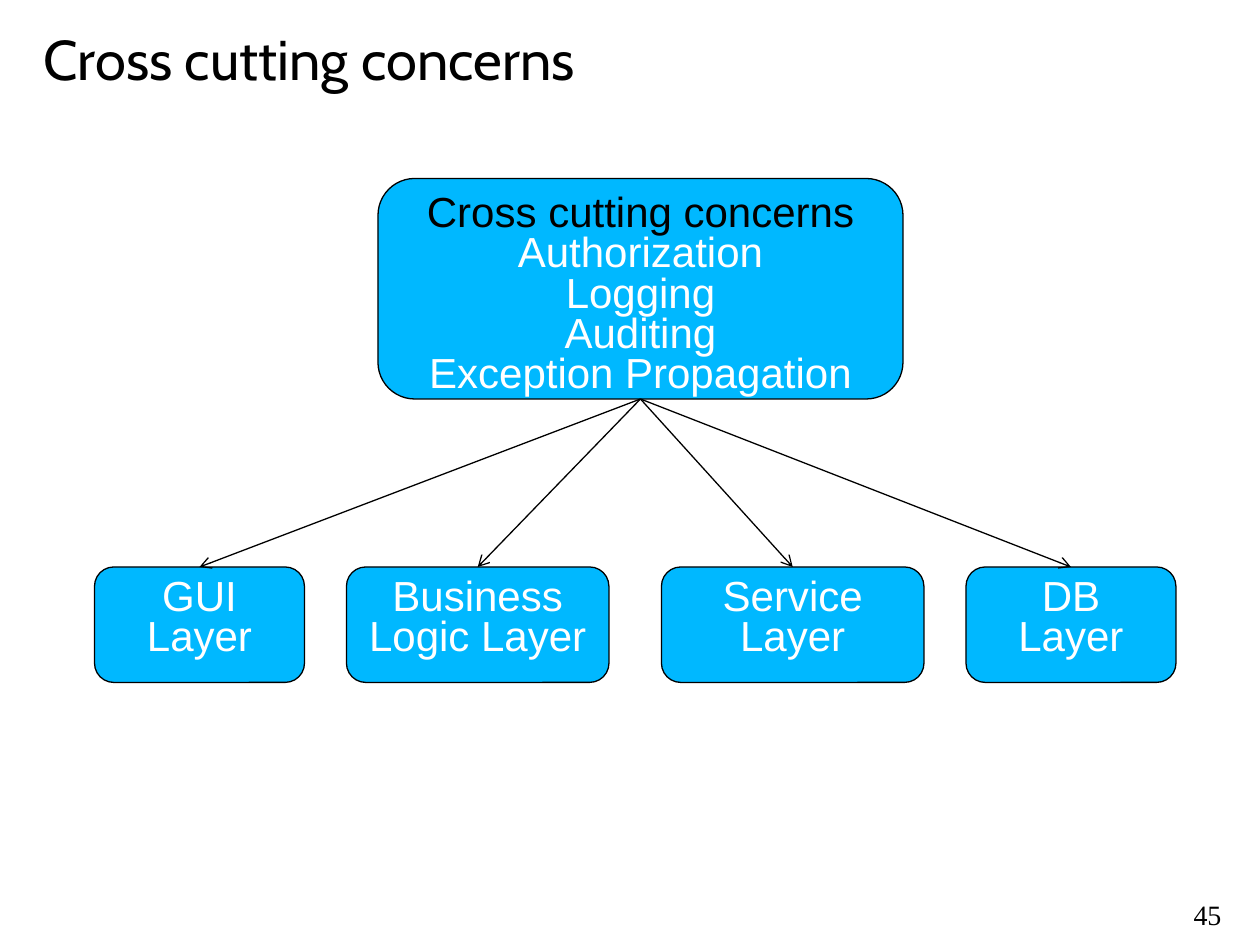
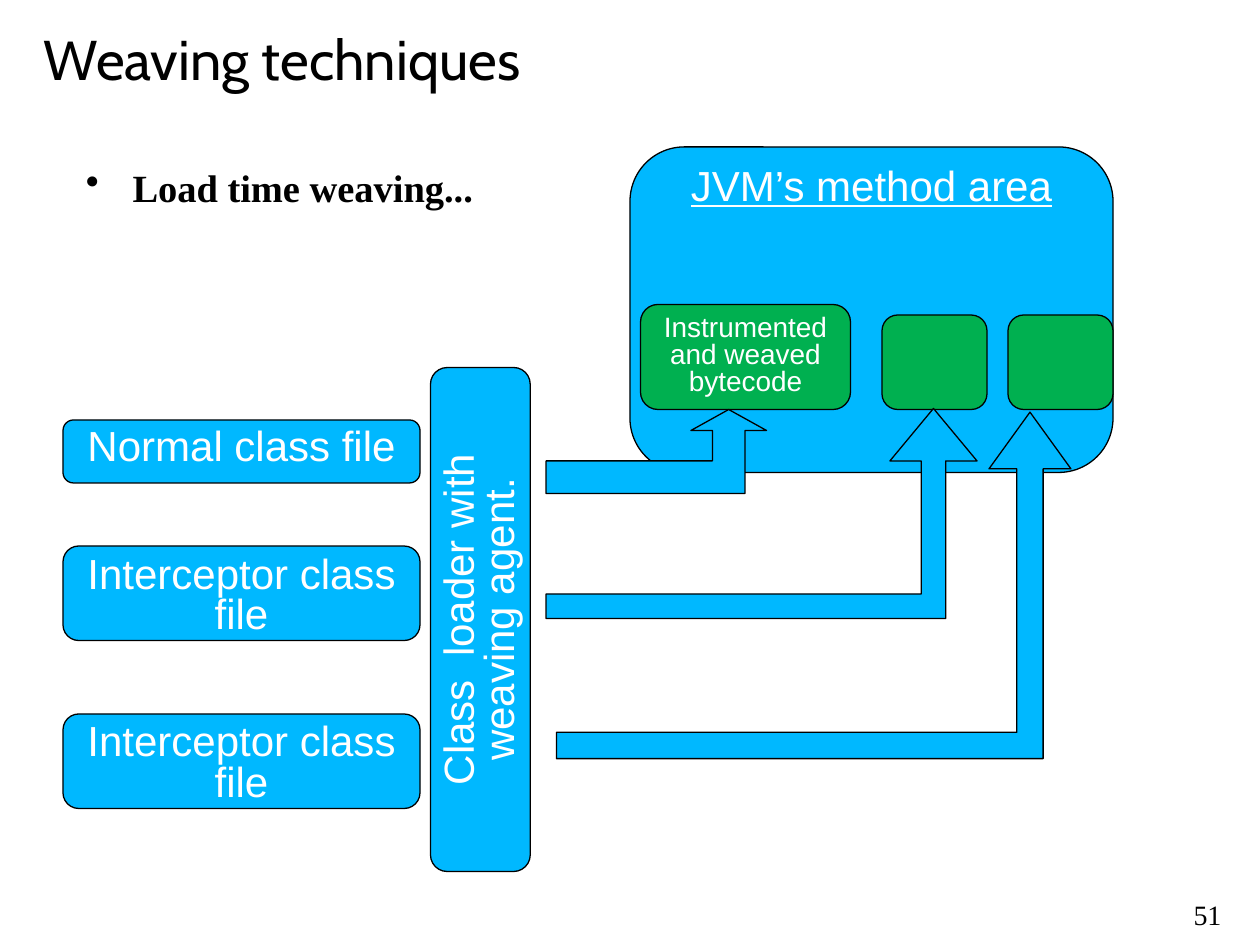
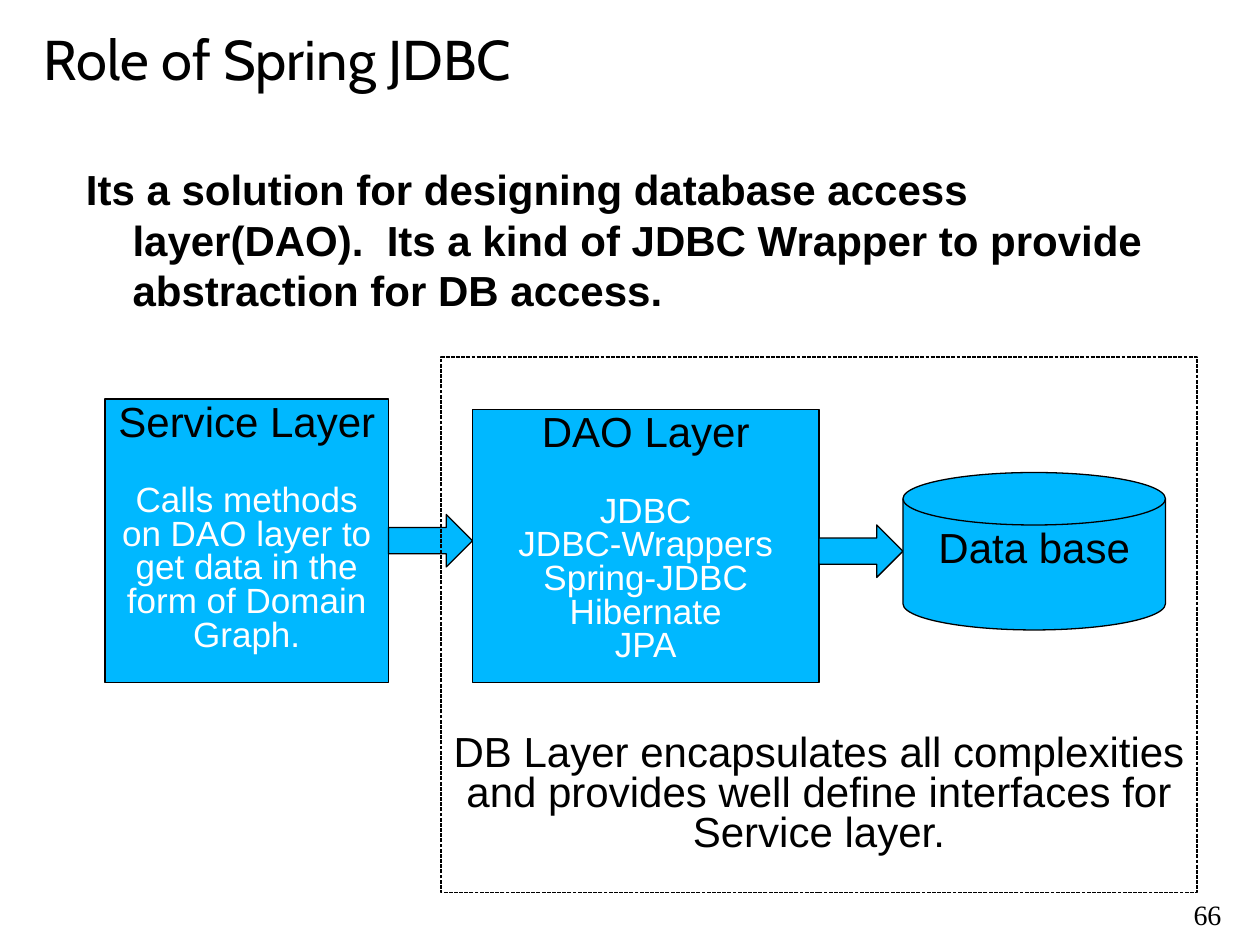
import pptx
import pptx.dml.color
import pptx.enum.dml
import pptx.enum.shapes
import pptx.enum.text
import pptx.oxml.ns
import pptx.util

CELL = pptx.util.Inches(1) // 12
COLS, ROWS = 120, 90
BLUE, GREEN, BLACK, WHITE = "00B8FF", "00B050", "000000", "FFFFFF"
SANS, SERIF, TITLE_FONT = "Arial", "Times New Roman", "Cabin"
SHAPE = pptx.enum.shapes.MSO_SHAPE
CENTER = pptx.enum.text.PP_ALIGN.CENTER


def cells(*values):
    """Turn grid cells into EMU lengths."""
    return [round(v * CELL) for v in values]


def rgb(code):
    """Return the colour for a hex string."""
    return pptx.dml.color.RGBColor.from_string(code)


def sub(parent, tag, **attrs):
    """Append a drawing element to a parent element."""
    child = parent.makeelement(pptx.oxml.ns.qn(tag), attrs)
    parent.append(child)
    return child


def write(tf, text, size=24, color=WHITE, font=SANS, bold=False, underline=False,
          align=CENTER, spacing=0.8, before=0, hanging=0, bullet=None):
    """Write one formatted paragraph into a text frame."""
    p = tf.paragraphs[0]
    if p.runs:
        p = tf.add_paragraph()
    p.alignment = align
    p.line_spacing = spacing
    if before:
        p.space_before = pptx.util.Pt(before)
    p_pr = p._p.get_or_add_pPr()
    if hanging:
        indent = pptx.util.Inches(hanging)
        p_pr.set("marL", str(indent))
        p_pr.set("indent", str(-indent))
    if bullet:
        sub(p_pr, "a:buChar", char=bullet)
    r = p.add_run()
    r.text = text
    r.font.name = font
    r.font.size = pptx.util.Pt(size)
    r.font.bold = bold
    r.font.underline = underline
    r.font.color.rgb = rgb(color)


def textbox(s, at, text, anchor="TOP", **fmt):
    """Add a wrapping text box with one paragraph."""
    tf = s.shapes.add_textbox(*cells(*at)).text_frame
    tf.word_wrap = True
    tf.vertical_anchor = pptx.enum.text.MSO_ANCHOR[anchor]
    write(tf, text, **fmt)


def style(sp, fill=BLUE):
    """Give a shape its fill, thin black outline and no shadow."""
    sp.shadow.inherit = False
    if fill:
        sp.fill.solid()
        sp.fill.fore_color.rgb = rgb(fill)
    else:
        sp.fill.background()
    sp.line.color.rgb = rgb(BLACK)
    sp.line.width = pptx.util.Pt(0.75)


def box(s, at, text=None, kind=SHAPE.ROUNDED_RECTANGLE, fill=BLUE, **fmt):
    """Add a filled shape with top-aligned text."""
    sp = s.shapes.add_shape(kind, *cells(*at))
    style(sp, fill)
    tf = sp.text_frame
    tf.word_wrap = True
    tf.vertical_anchor = pptx.enum.text.MSO_ANCHOR.TOP
    if text:
        write(tf, text, **fmt)
    return sp


def arrow(s, start, end):
    """Add a thin line with an open arrowhead at its end."""
    straight = pptx.enum.shapes.MSO_CONNECTOR.STRAIGHT
    line = s.shapes.add_connector(straight, *cells(*start, *end))
    line.line.color.rgb = rgb(BLACK)
    line.line.width = pptx.util.Pt(0.75)
    sub(line.line._get_or_add_ln(), "a:tailEnd", type="arrow")
    sub(line._element.spPr, "a:effectLst")


def bent_arrow(s, left, bottom, tip, shaft, head_width, head_height):
    """Add an arrow that runs right and then up to its tip."""
    x, y = tip
    near, far = x - shaft / 2, x + shaft / 2
    base = y + head_height
    points = [(left, bottom - shaft), (near, bottom - shaft), (near, base),
              (x - head_width / 2, base), (x, y), (x + head_width / 2, base),
              (far, base), (far, bottom), (left, bottom)]
    points = [cells(*point) for point in points]
    builder = s.shapes.build_freeform(*points[0])
    builder.add_line_segments(points[1:], close=True)
    style(builder.convert_to_shape())


def new_slide(prs, title, number):
    """Add a slide with its title and page number."""
    s = prs.slides.add_slide(prs.slide_layouts[6])
    left = pptx.enum.text.PP_ALIGN.LEFT
    textbox(s, (3, 0, 114, 11), title, anchor="MIDDLE", size=32, color=BLACK,
            font=TITLE_FONT, align=left, spacing=1.0)
    textbox(s, (110, 85.5, 10, 4), number, size=16, color=BLACK, font=SERIF)
    return s


def lead(s, rows, text, **fmt):
    """Add the bold opening statement under the title."""
    textbox(s, (7, 15, 106, rows), text, color=BLACK, bold=True, spacing=1.0,
            align=pptx.enum.text.PP_ALIGN.LEFT, hanging=0.37, **fmt)


def concerns_slide(prs):
    """Build the slide on cross cutting concerns."""
    s = new_slide(prs, "Cross cutting concerns", "45")
    sp = box(s, (36, 17, 50, 21), "Cross cutting concerns", color=BLACK)
    for concern in ("Authorization", "Logging", "Auditing", "Exception Propagation"):
        write(sp.text_frame, concern)
    layers = [("GUI Layer", 9, 20), ("Business Logic Layer", 33, 25),
              ("Service Layer", 63, 25), ("DB Layer", 92, 20)]
    for name, left, width in layers:
        box(s, (left, 54, width, 11), name)
        arrow(s, (61, 38), (left + width / 2, 54))


def weaving_slide(prs):
    """Build the slide on load time weaving."""
    s = new_slide(prs, "Weaving techniques", "51")
    lead(s, 8, "Load time weaving...", size=22, font=SERIF, bullet="•")
    box(s, (60, 14, 46, 31), "JVM’s method area", underline=True)
    box(s, (61, 29, 20, 10), "Instrumented and weaved bytecode", fill=GREEN, size=16)
    for left in (84, 96):
        box(s, (left, 30, 10, 9), fill=GREEN)
    class_files = [("Normal class file", 40, 6), ("Interceptor class file", 52, 9),
                   ("Interceptor class file", 68, 9)]
    for name, top, height in class_files:
        box(s, (6, top, 34, height), name)
    bent_arrow(s, 53, 72.25, (98.1, 39.25), 2.5, 7.8, 5.4)
    bent_arrow(s, 52, 58.9, (88.9, 38.9), 2.33, 8.3, 5)
    bent_arrow(s, 52, 47, (69.4, 39), 3.1, 7.2, 2)
    loader = box(s, (21.75, 54.25, 48, 9.5), "Class  loader with weaving agent.")
    loader.rotation = 270


def jdbc_slide(prs):
    """Build the slide on the data access layer."""
    s = new_slide(prs, "Role of Spring JDBC", "66")
    lead(s, 69, "Its a solution for designing database access layer(DAO).  "
         "Its a kind of JDBC Wrapper to provide abstraction for DB access.")
    panels = [
        ((10, 38, 27, 27), "Service Layer",
         ["Calls methods on DAO layer to get data in the form of Domain Graph."]),
        ((45, 39, 33, 26), "DAO Layer",
         ["JDBC", "JDBC-Wrappers", "Spring-JDBC", "Hibernate", "JPA"]),
    ]
    for at, heading, lines in panels:
        sp = box(s, at, heading, kind=SHAPE.RECTANGLE, color=BLACK)
        for i, line in enumerate(lines):
            write(sp.text_frame, line, size=20, before=0 if i else 23)
    for left, top in ((37, 49), (78, 50)):
        box(s, (left, top, 8, 5), kind=SHAPE.RIGHT_ARROW)
    box(s, (86, 45, 25, 15), "Data base", kind=SHAPE.FLOWCHART_MAGNETIC_DISK, color=BLACK)
    frame = box(s, (42, 34, 72, 51), "DB Layer encapsulates all complexities and provides "
                "well define interfaces for Service layer.",
                kind=SHAPE.RECTANGLE, fill=None, color=BLACK)
    frame.line.dash_style = pptx.enum.dml.MSO_LINE.SQUARE_DOT
    frame.text_frame.margin_top = 36 * CELL


def main():
    """Build and save the presentation."""
    prs = pptx.Presentation()
    prs.slide_width, prs.slide_height = cells(COLS, ROWS)
    concerns_slide(prs)
    weaving_slide(prs)
    jdbc_slide(prs)
    prs.save("out.pptx")


if __name__ == "__main__":
    main()
